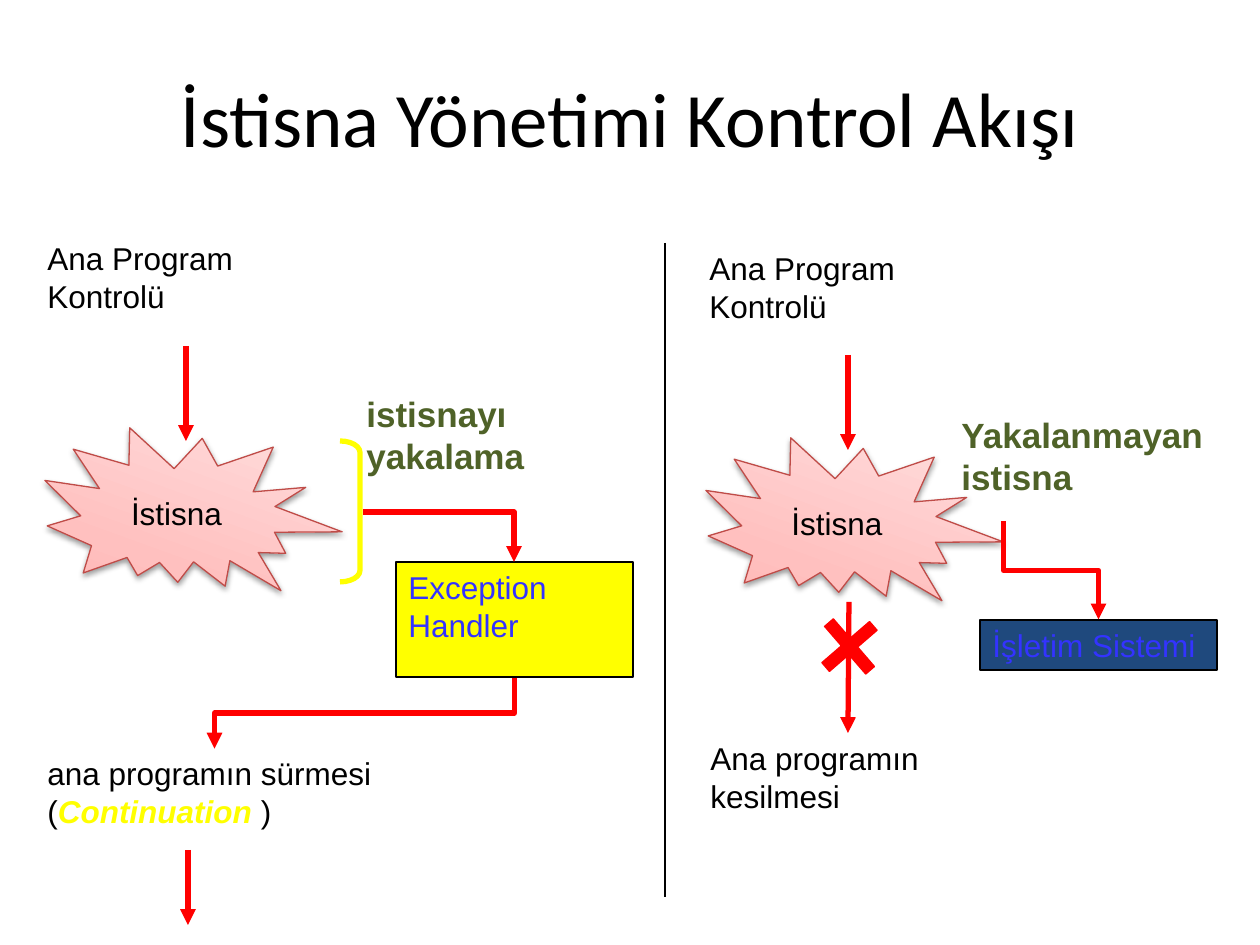
import pptx
import pptx.util
import pptx.dml.color
import pptx.enum.shapes
import pptx.enum.text
import pptx.oxml
import pptx.oxml.ns

RGB = pptx.dml.color.RGBColor
BLACK = RGB(0, 0, 0)
RED = RGB(255, 0, 0)
YELLOW = RGB(255, 255, 0)
BLUE = RGB(0x33, 0x33, 0xFF)
NAVY = RGB(0x1F, 0x49, 0x7D)
GREEN = RGB(0x4F, 0x62, 0x28)
ROSE = RGB(0xBF, 0x4C, 0x48)
KIND = pptx.enum.shapes.MSO_SHAPE
LINK = pptx.enum.shapes.MSO_CONNECTOR
ALIGN = pptx.enum.text.PP_ALIGN
ANCHOR = pptx.enum.text.MSO_ANCHOR
SCALE = 914400 / 126
NS = pptx.oxml.ns.nsdecls("a")

deck = pptx.Presentation()
deck.slide_width, deck.slide_height = (round(n * SCALE) for n in (1260, 945))
slide = deck.slides.add_slide(deck.slide_layouts[6])
shapes = slide.shapes


def write(shape, runs, align=ALIGN.LEFT, anchor=ANCHOR.TOP, wrap=True):
    frame = shape.text_frame
    frame.word_wrap = wrap
    frame.vertical_anchor = anchor
    para = frame.paragraphs[0]
    para.alignment = align
    for text, size, color, style in runs:
        run = para.add_run()
        run.text = text
        run.font.color.rgb = color
        look = {"name": "Arial", "size": pptx.util.Pt(size), **style}
        for key, value in look.items():
            setattr(run.font, key, value)


def finish(line, color, width, arrow):
    line.line.color.rgb = color
    line.line.width = pptx.util.Pt(width)
    if arrow:
        tail = pptx.oxml.parse_xml(f'<a:tailEnd {NS} type="triangle"/>')
        line.line._get_or_add_ln().append(tail)
    line._element.spPr.append(pptx.oxml.parse_xml(f"<a:effectLst {NS}/>"))


title = shapes.add_textbox(*(round(n * SCALE) for n in (63, 38, 1134, 158)))
write(title, [("İstisna Yönetimi Kontrol Akışı", 44, BLACK, {"name": "Calibri"})],
      ALIGN.CENTER, ANCHOR.MIDDLE)

stops = "".join(f'<a:gs pos="{pos}000"><a:srgbClr val="{tone}"/></a:gs>'
                for pos, tone in ((0, "FFA6A5"), (35, "FFC0BF"), (100, "FFE7E7")))
blend = (f'<a:gradFill {NS} rotWithShape="1"><a:gsLst>{stops}</a:gsLst>'
         '<a:lin ang="16200000" scaled="1"/></a:gradFill>')
shade = (f'<a:effectLst {NS}><a:outerShdw blurRad="40000" dist="20000" '
         'dir="5400000" rotWithShape="0"><a:srgbClr val="000000">'
         '<a:alpha val="38000"/></a:srgbClr></a:outerShdw></a:effectLst>')
for left, top in ((42, 423), (703, 433)):
    burst = shapes.add_shape(KIND.EXPLOSION2,
                             *(round(n * SCALE) for n in (left, top, 297, 183)))
    burst.rotation = 19.9
    burst.line.color.rgb = ROSE
    burst.line.width = pptx.util.Pt(0.75)
    props = burst._element.spPr
    props.insert(2, pptx.oxml.parse_xml(blend))
    props.append(pptx.oxml.parse_xml(shade))

forms = {}
for name, kind, box, fill, color, width, turn, adjust in (
    ("catch", KIND.RIGHT_BRACKET, (340, 441, 20, 141), None, YELLOW, 3, 0, 0.574),
    ("handler", KIND.RECTANGLE, (396, 562, 237, 115), YELLOW, BLACK, 0.75, 0, None),
    ("system", KIND.RECTANGLE, (980, 620, 237, 50), NAVY, BLACK, 0.75, 0, None),
    ("cross", KIND.CROSS, (818, 615, 63, 63), RED, RED, 0.75, 49.2, 0.408),
):
    form = shapes.add_shape(kind, *(round(n * SCALE) for n in box))
    form.shadow.inherit = False
    form.rotation = turn
    if fill is None:
        form.fill.background()
    else:
        form.fill.solid()
        form.fill.fore_color.rgb = fill
    form.line.color.rgb = color
    form.line.width = pptx.util.Pt(width)
    if adjust is not None:
        form.adjustments[0] = adjust
    forms[name] = form
write(forms["handler"], [("Exception Handler", 18, BLUE, {})])
write(forms["system"], [("İşletim Sistemi", 18, BLUE, {})])

for ends, color, width, arrow in (
    ((186, 346, 186, 441), RED, 3, True),
    ((188, 850, 188, 925), RED, 3, True),
    ((848, 355, 848, 450), RED, 3, True),
    ((849, 602, 848, 733), RED, 3, True),
    ((665, 243, 665, 897), BLACK, 0.75, False),
):
    line = shapes.add_connector(LINK.STRAIGHT, *(round(n * SCALE) for n in ends))
    finish(line, color, width, arrow)

for box, preset, turn, flip, start, end in (
    ((363, 512, 151, 50), "bentConnector2", 0, False, None, "handler"),
    ((329, 563, 71, 300), "bentConnector3", 90, False, "handler", None),
    ((1002, 523, 98, 95), "bentConnector3", 270, True, None, "system"),
):
    bend = shapes.add_connector(LINK.ELBOW, 0, 0, 0, 0)
    if start:
        bend.begin_connect(forms[start], 2)
    if end:
        bend.end_connect(forms[end], 0)
    for key, value in zip(("left", "top", "width", "height"), box):
        setattr(bend, key, round(value * SCALE))
    props = bend._element.spPr
    for key in ("flipH", "flipV"):
        props.xfrm.attrib.pop(key, None)
    props.xfrm.set("rot", str(turn * 60000))
    if flip:
        props.xfrm.set("flipH", "1")
    props.find(pptx.oxml.ns.qn("a:prstGeom")).set("prst", preset)
    finish(bend, RED, 3, True)

bold = {"bold": True}
for box, runs, align, wrap in (
    ((35, 233, 305, 89), [("Ana Program Kontrolü", 18, BLACK, {})], ALIGN.LEFT, True),
    ((697, 243, 305, 89), [("Ana Program Kontrolü", 18, BLACK, {})], ALIGN.LEFT, True),
    ((118, 488, 117, 50), [("İstisna", 18, BLACK, {})], ALIGN.CENTER, False),
    ((779, 498, 117, 50), [("İstisna", 18, BLACK, {})], ALIGN.LEFT, False),
    ((35, 748, 359, 89), [("ana programın sürmesi (", 18, BLACK, {}),
                          ("Continuation ", 18, YELLOW, {"bold": True, "italic": True}),
                          (")", 18, BLACK, {})], ALIGN.LEFT, True),
    ((698, 733, 325, 89), [("Ana programın kesilmesi", 18, BLACK, {})], ALIGN.LEFT, True),
    ((354, 386, 247, 97), [("istisnayı yakalama", 20, GREEN, bold)], ALIGN.LEFT, True),
    ((949, 407, 272, 97), [("Yakalanmayan istisna", 20, GREEN, bold)], ALIGN.LEFT, True),
):
    label = shapes.add_textbox(*(round(n * SCALE) for n in box))
    write(label, runs, align, wrap=wrap)

deck.save("out.pptx")
